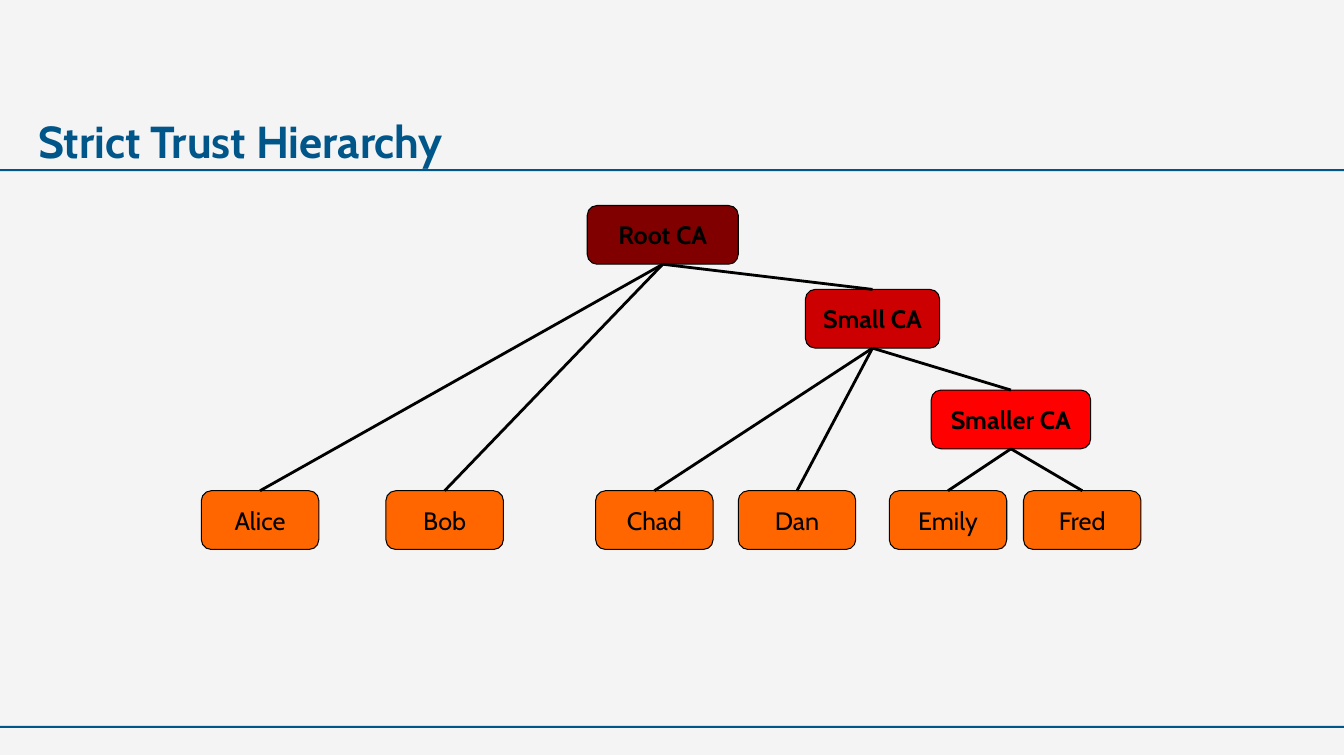
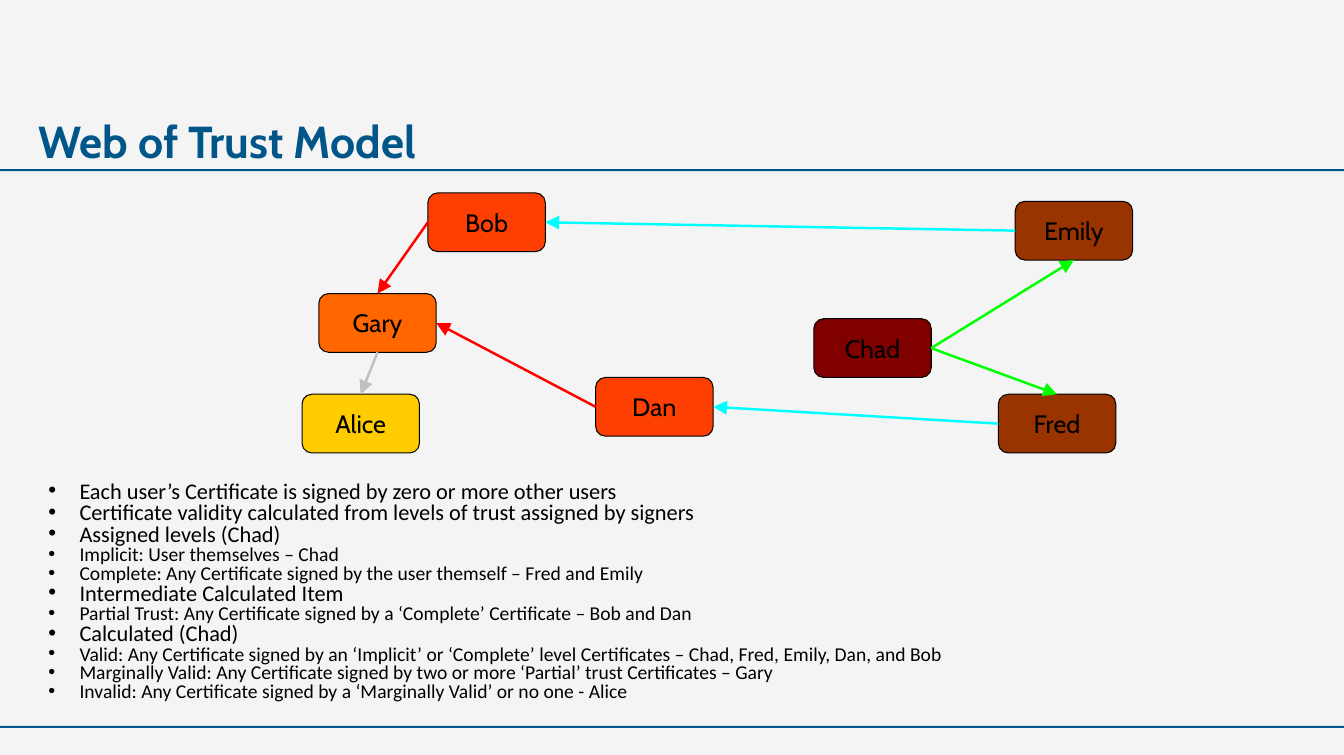
from lxml.etree import SubElement
from pptx import Presentation
from pptx.dml.color import RGBColor
from pptx.enum.shapes import MSO_CONNECTOR as Wire, MSO_SHAPE as Shape
from pptx.enum.text import MSO_ANCHOR as Anchor, MSO_AUTO_SIZE as Fit, PP_ALIGN as Align
from pptx.oxml.ns import qn
from pptx.util import Inches, Pt

WIDE, HIGH = Inches(13.35), Inches(7.5)
CELL = Inches(1) / 12
TOP, LEFT, BOTTOM, RIGHT = range(4)

HUES = {
    "page": "F4F4F4", "brand": "005589", "ink": "000000",
    "maroon": "800000", "crimson": "CC0000", "red": "FF0000",
    "orange": "FF6600", "flame": "FD3F03", "gold": "FFCC00",
    "brown": "993300", "green": "00FF00", "cyan": "00FFFF", "grey": "C0C0C0",
}
HEAD = {"name": "Cabin", "size": Pt(32), "bold": True}
LABEL = {"name": "Cabin", "size": Pt(18), "bold": False}
ITEM = {"name": "Calibri", "size": Pt(16)}
SUB = {"name": "Calibri", "size": Pt(14)}
TIP = {"type": "triangle", "w": "lg", "len": "lg"}

CHAIN = [
    ("Root CA", 70, 24.5, 18, "maroon"),
    ("Small CA", 96, 34.5, 16, "crimson"),
    ("Smaller CA", 111, 46.5, 19, "red"),
]
USERS = [("Alice", 24), ("Bob", 46), ("Chad", 71), ("Dan", 88), ("Emily", 106), ("Fred", 122)]
SIGNED = {
    "Root CA": ["Alice", "Bob", "Small CA"],
    "Small CA": ["Chad", "Dan", "Smaller CA"],
    "Smaller CA": ["Emily", "Fred"],
}

PEERS = [
    ("Alice", 36, 47, "gold"), ("Bob", 51, 23, "flame"),
    ("Chad", 97, 38, "maroon"), ("Dan", 71, 45, "flame"),
    ("Emily", 121, 24, "brown"), ("Fred", 119, 47, "brown"),
    ("Gary", 38, 35, "orange"),
]
TRUST = [
    ("Chad", RIGHT, "Emily", BOTTOM, "green"),
    ("Chad", RIGHT, "Fred", TOP, "green"),
    ("Fred", LEFT, "Dan", RIGHT, "cyan"),
    ("Emily", LEFT, "Bob", RIGHT, "cyan"),
    ("Gary", BOTTOM, "Alice", TOP, "grey"),
    ("Dan", LEFT, "Gary", RIGHT, "red"),
    ("Bob", LEFT, "Gary", TOP, "red"),
]
NOTES = [
    (0, "Each user’s Certificate is signed by zero or more other users"),
    (0, "Certificate validity calculated from levels of trust assigned by signers"),
    (0, "Assigned levels (Chad)"),
    (2, "Implicit: User themselves – Chad"),
    (1, "Complete: Any Certificate signed by the user themself – Fred and Emily"),
    (0, "Intermediate Calculated Item"),
    (1, "Partial Trust: Any Certificate signed by a ‘Complete’ Certificate – Bob and Dan"),
    (0, "Calculated (Chad)"),
    (1, "Valid: Any Certificate signed by an ‘Implicit’ or ‘Complete’ level Certificates"
        " – Chad, Fred, Emily, Dan, and Bob"),
    (1, "Marginally Valid: Any Certificate signed by two or more ‘Partial’ trust Certificates – Gary"),
    (1, "Invalid: Any Certificate signed by a ‘Marginally Valid’ or no one - Alice"),
]


def hue(name):
    return RGBColor.from_string(HUES[name])


def assign(item, values):
    for key, value in values.items():
        setattr(item, key, value)


def place(item, left, top, width, height):
    sides = {"left": left, "top": top, "width": width, "height": height}
    assign(item, {side: int(size) for side, size in sides.items()})


def write(para, text, style, ink="ink"):
    run = para.add_run()
    run.text = text
    assign(run.font, style)
    run.font.color.rgb = hue(ink)


def rule(slide, top):
    bar = slide.shapes.add_shape(Shape.RECTANGLE, 0, Inches(top), WIDE, Inches(0.02))
    bar.shadow.inherit = False
    bar.fill.solid()
    bar.fill.fore_color.rgb = hue("brand")
    bar.line.fill.background()


def start(deck, layout, text):
    slide = deck.slides.add_slide(deck.slide_layouts.get_by_name(layout))
    for top in (1.68, 7.21):
        rule(slide, top)
    title = slide.shapes.title
    place(title, Inches(0.38), Inches(1.13), WIDE * 0.64, Inches(0.54))
    assign(title.text_frame, {
        "margin_left": 0, "margin_right": 0, "margin_top": 0, "margin_bottom": 0,
        "vertical_anchor": Anchor.TOP, "auto_size": Fit.NONE,
    })
    para = title.text_frame.paragraphs[0]
    para.alignment = Align.LEFT
    write(para, text, HEAD, "brand")
    return slide


def node(slide, text, col, row, fill, cols=14, bold=False):
    box = slide.shapes.add_shape(
        Shape.FLOWCHART_ALTERNATE_PROCESS,
        *(int(CELL * size) for size in (col, row, cols, 7)))
    box.shadow.inherit = False
    box.fill.solid()
    box.fill.fore_color.rgb = hue(fill)
    box.line.color.rgb = hue("ink")
    box.line.width = Pt(0.75)
    assign(box.text_frame, {"word_wrap": False, "vertical_anchor": Anchor.MIDDLE})
    para = box.text_frame.paragraphs[0]
    para.alignment = Align.CENTER
    write(para, text, LABEL | {"bold": bold})
    return box


def link(slide, start_box, out, end_box, into, ink="ink", width=2, arrow=False):
    wire = slide.shapes.add_connector(Wire.STRAIGHT, 0, 0, 0, 0)
    wire.begin_connect(start_box, out)
    wire.end_connect(end_box, into)
    wire.line.color.rgb = hue(ink)
    wire.line.width = Pt(width)
    props = wire._element.spPr
    if arrow:
        SubElement(props.find(qn("a:ln")), qn("a:tailEnd"), TIP)
    SubElement(props, qn("a:effectLst"))


def bullets(slide, items):
    body = slide.placeholders[1]
    place(body, Inches(0.38), Inches(4.74), WIDE - Inches(0.58), Inches(2.31))
    frame = body.text_frame
    assign(frame, {"auto_size": Fit.NONE, "vertical_anchor": Anchor.TOP, "word_wrap": True})
    for index, (level, text) in enumerate(items):
        para = frame.add_paragraph() if index else frame.paragraphs[0]
        props = para._p.get_or_add_pPr()
        props.set("marL", str(Inches(0.31)))
        props.set("indent", str(-Inches(0.31)))
        SubElement(props, qn("a:buChar"), char="•")
        assign(para, {"level": level, "line_spacing": 0.8, "space_before": Pt(0),
                      "space_after": Pt(0), "alignment": Align.LEFT})
        write(para, text, SUB if level else ITEM)


def tree(deck):
    slide = start(deck, "Title Only", "Strict Trust Hierarchy")
    boxes = {text: node(slide, text, col, row, fill, cols, True)
             for text, col, row, cols, fill in CHAIN}
    boxes |= {text: node(slide, text, col, 58.5, "orange") for text, col in USERS}
    for signer, names in SIGNED.items():
        for name in names:
            link(slide, boxes[signer], BOTTOM, boxes[name], TOP)


def web(deck):
    slide = start(deck, "Title and Content", "Web of Trust Model")
    boxes = {text: node(slide, text, col, row, fill) for text, col, row, fill in PEERS}
    for signer, out, name, into, ink in TRUST:
        link(slide, boxes[signer], out, boxes[name], into, ink, 1.75, True)
    bullets(slide, NOTES)


def main():
    deck = Presentation()
    assign(deck, {"slide_width": WIDE, "slide_height": HIGH})
    back = deck.slide_master.background.fill
    back.solid()
    back.fore_color.rgb = hue("page")
    tree(deck)
    web(deck)
    deck.save("out.pptx")


if __name__ == "__main__":
    main()
